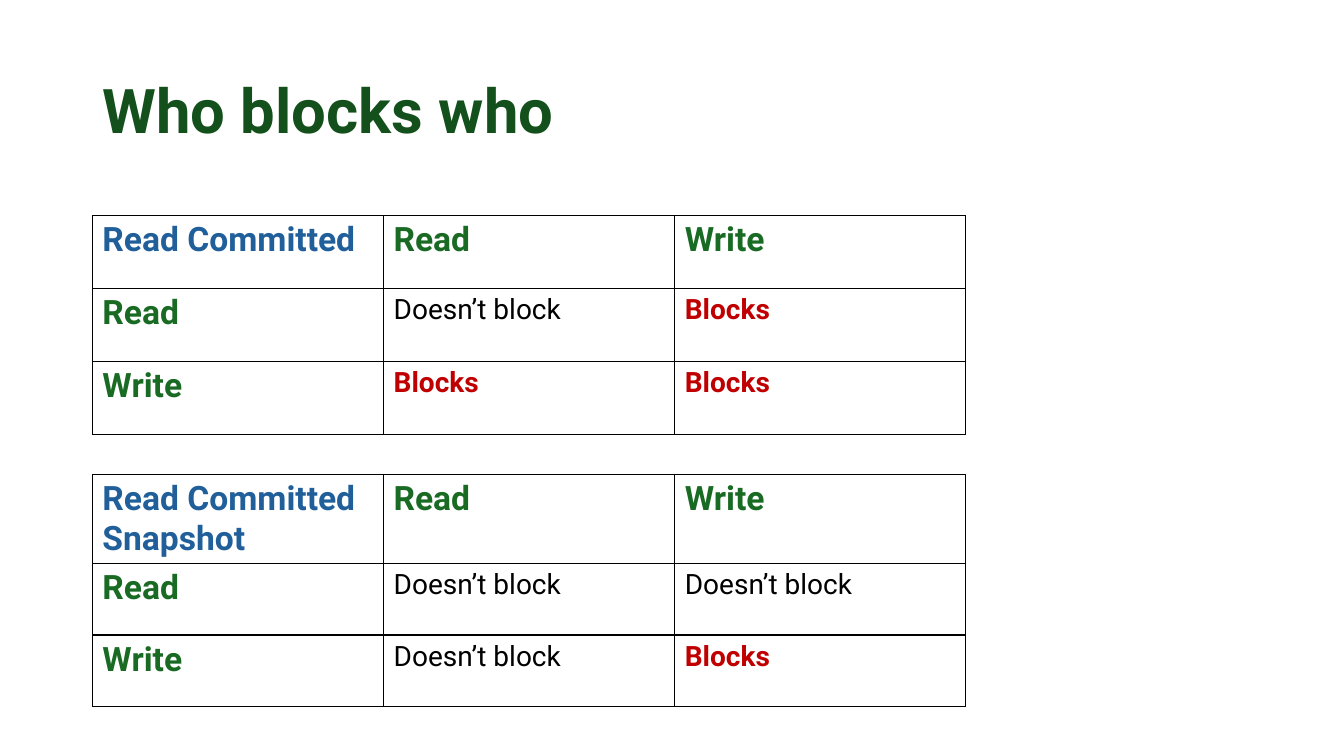
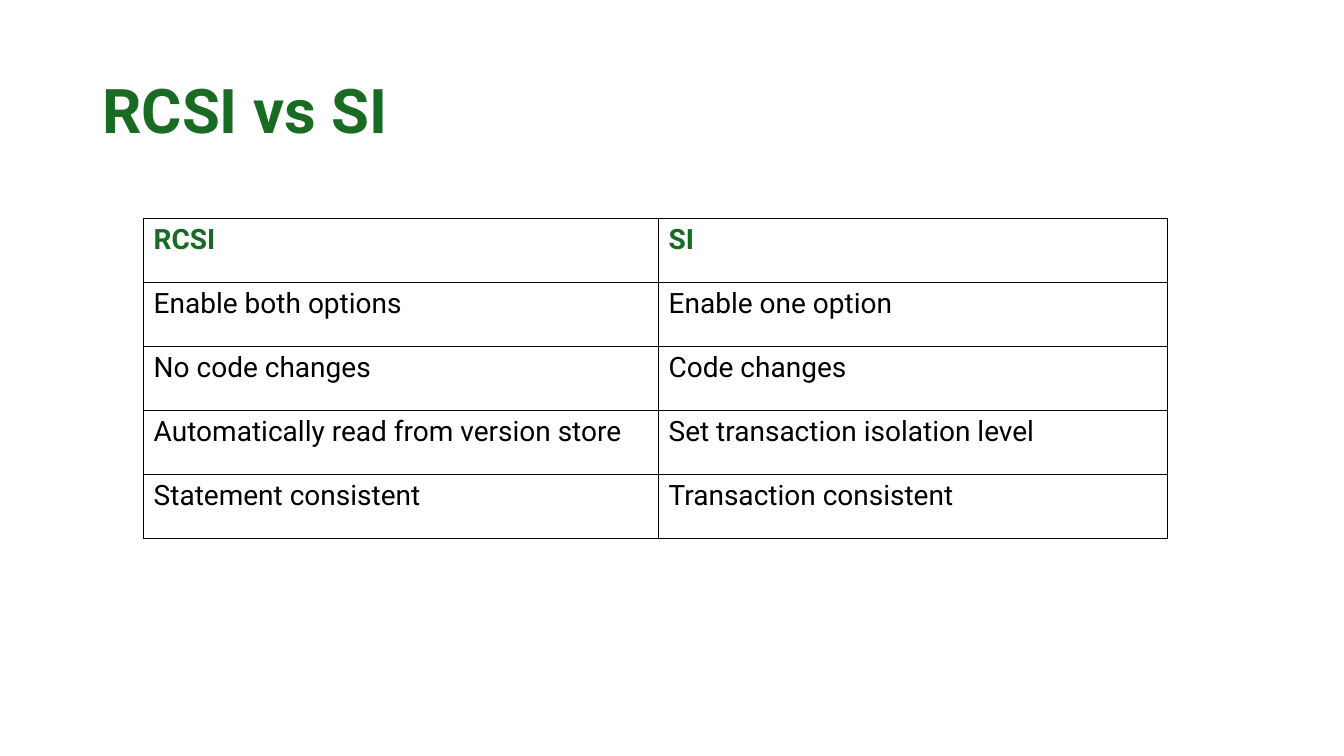
from pptx import Presentation
from pptx.dml.color import RGBColor
from pptx.enum.text import MSO_ANCHOR as Anchor, PP_ALIGN as Align
from pptx.oxml import parse_xml
from pptx.oxml.ns import nsdecls
from pptx.util import Pt

FONT = "Roboto"
DARK, GREEN, BLUE = "13501B", "196B24", "215F9A"
RED, BLACK = "C00000", "000000"
FREE, HELD = "Doesn’t block", "Blocks"

# Content: a matrix has a blue corner and green heads on its top and left
SLIDES = [
    {"title": "Who blocks who", "color": DARK, "tables": [
        {"at": (66, 154), "cols": [208] * 3, "rows": [52.15] * 3, "matrix": True,
         "cells": [("Read Committed", "Read", "Write"),
                   ("Read", FREE, HELD),
                   ("Write", HELD, HELD)]},
        {"at": (66, 339), "cols": [208] * 3, "rows": [63.5, 51, 51], "matrix": True,
         "cells": [("Read Committed Snapshot", "Read", "Write"),
                   ("Read", FREE, FREE),
                   ("Write", FREE, HELD)]},
    ]},
    {"title": "RCSI vs SI", "color": GREEN, "tables": [
        {"at": (102.6, 156), "cols": [367.8, 363.4], "rows": [45.7] * 5, "matrix": False,
         "cells": [("RCSI", "SI"),
                   ("Enable both options", "Enable one option"),
                   ("No code changes", "Code changes"),
                   ("Automatically read from version store",
                    "Set transaction isolation level"),
                   ("Statement consistent", "Transaction consistent")]},
    ]},
]


def rgb(code):
    return RGBColor.from_string(code)


def style(par, size, color, bold):
    for run in par.runs:
        font = run.font
        font.name, font.size, font.bold = FONT, Pt(size), bold
        font.color.rgb = rgb(color)


def look(text, row, col, matrix):
    """Size, colour and weight of a cell, from its place and its text."""
    if matrix and row == col == 0:
        return 24, BLUE, True
    if row == 0 or (matrix and col == 0):
        return (24 if matrix else 20), GREEN, True
    if text == HELD:
        return 20, RED, True
    return 20, BLACK, False


def border(cell):
    props = cell._tc.get_or_add_tcPr()
    for side in "LRTB":
        props.append(parse_xml(
            f'<a:ln{side} {nsdecls("a")} w="{Pt(1)}"><a:solidFill>'
            f'<a:srgbClr val="{BLACK}"/></a:solidFill></a:ln{side}>'))


def add_title(slide, text, color):
    title = slide.shapes.title
    title.left, title.top, title.width, title.height = Pt(66), Pt(28.8), Pt(828), Pt(104.4)
    frame = title.text_frame
    frame.text = text
    frame.vertical_anchor = Anchor.MIDDLE
    par = frame.paragraphs[0]
    par.alignment, par.line_spacing = Align.LEFT, 0.9
    style(par, 44, color, True)


def add_grid(slide, data):
    cols, rows = data["cols"], data["rows"]
    x, y = data["at"]
    table = slide.shapes.add_table(len(rows), len(cols), Pt(x), Pt(y),
                                   Pt(sum(cols)), Pt(sum(rows))).table
    table.first_row = table.horz_banding = False
    for col, width in zip(table.columns, cols):
        col.width = Pt(width)
    for row, height in zip(table.rows, rows):
        row.height = Pt(height)
    for r, line in enumerate(data["cells"]):
        for c, text in enumerate(line):
            cell = table.cell(r, c)
            cell.text_frame.text = text
            style(cell.text_frame.paragraphs[0], *look(text, r, c, data["matrix"]))
            border(cell)
            cell.fill.background()


def main():
    deck = Presentation()
    deck.slide_width, deck.slide_height = Pt(960), Pt(540)
    for page in SLIDES:
        slide = deck.slides.add_slide(deck.slide_layouts[5])
        add_title(slide, page["title"], page["color"])
        for data in page["tables"]:
            add_grid(slide, data)
    deck.save("out.pptx")


if __name__ == "__main__":
    main()
